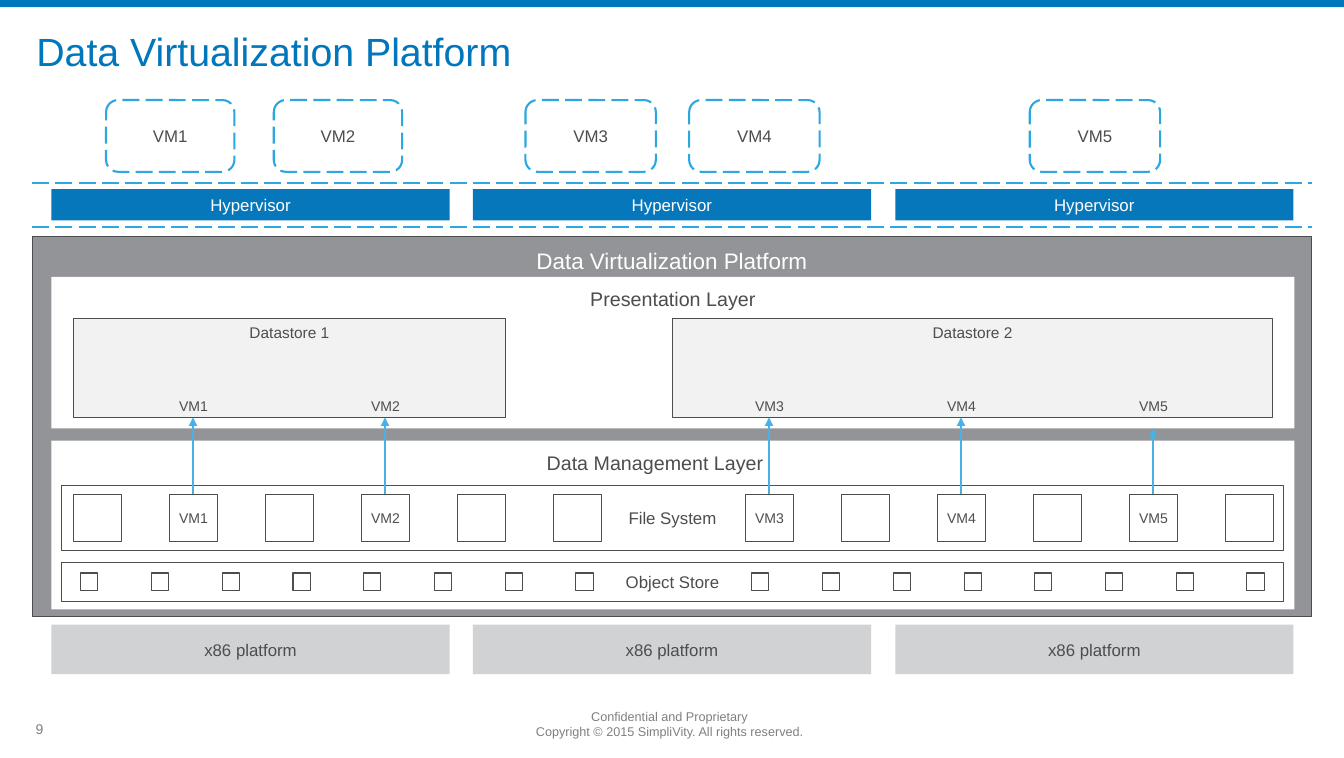
from lxml.etree import SubElement
from pptx import Presentation
from pptx.dml.color import RGBColor
from pptx.enum.dml import MSO_LINE
from pptx.enum.shapes import MSO_CONNECTOR, MSO_SHAPE
from pptx.enum.text import MSO_ANCHOR, MSO_AUTO_SIZE, PP_ALIGN
from pptx.oxml.ns import qn
from pptx.util import Pt

PX = 9144  # EMU per px, 100 px to the inch

WHITE = RGBColor(0xFF, 0xFF, 0xFF)
INK = RGBColor(0x4D, 0x4D, 0x4D)
FOOTER_GREY = RGBColor(0x80, 0x80, 0x80)
PLATFORM_GREY = RGBColor(0x92, 0x94, 0x97)
HARDWARE_GREY = RGBColor(0xD1, 0xD2, 0xD3)
STORE_GREY = RGBColor(0xF2, 0xF2, 0xF2)
BRAND_BLUE = RGBColor(0x00, 0x76, 0xBC)
HYPERVISOR_BLUE = RGBColor(0x07, 0x77, 0xBC)
DASH_BLUE = RGBColor(0x2D, 0xA7, 0xDF)
ARROW_BLUE = RGBColor(0x48, 0xB2, 0xE8)


def write(shape, text, size, color=INK, anchor=MSO_ANCHOR.MIDDLE,
          align=PP_ALIGN.CENTER, left=0, top=0, wrap=True):
    frame = shape.text_frame
    frame.text = text
    frame_format = {
        "auto_size": MSO_AUTO_SIZE.NONE, "word_wrap": wrap,
        "vertical_anchor": anchor, "margin_left": left * PX,
        "margin_top": top * PX, "margin_right": 0, "margin_bottom": 0,
    }
    for name, value in frame_format.items():
        setattr(frame, name, value)
    for paragraph in frame.paragraphs:
        paragraph.alignment = align
        for name, value in {"name": "Arial", "size": Pt(size)}.items():
            setattr(paragraph.font, name, value)
        paragraph.font.color.rgb = color


def add_box(left, top, width, height, fill, outline=None, weight=0.75,
            kind=MSO_SHAPE.RECTANGLE):
    box = slide.shapes.add_shape(
        kind, left * PX, top * PX, width * PX, height * PX)
    box.shadow.inherit = False
    box.fill.solid()
    box.fill.fore_color.rgb = fill
    if outline is None:
        box.line.fill.background()
    else:
        box.line.color.rgb = outline
        box.line.width = Pt(weight)
    return box


deck = Presentation()
deck.slide_width, deck.slide_height = 1330 * PX, 750 * PX
slide = deck.slides.add_slide(deck.slide_layouts[5])

# Title, top bar and footer
add_box(0, 0, 1330, 7, BRAND_BLUE)
title = slide.shapes.title
title_place = {"left": 36, "top": 20, "width": 1250, "height": 60}
for name, value in title_place.items():
    setattr(title, name, value * PX)
write(title, "Data Virtualization Platform", 28, BRAND_BLUE, align=PP_ALIGN.LEFT)

copyright_note = slide.shapes.add_textbox(518 * PX, 696 * PX, 289 * PX, 40 * PX)
write(copyright_note, "Confidential and Proprietary\n"
      "Copyright © 2015 SimpliVity. All rights reserved.", 9, FOOTER_GREY, wrap=False)
page_number = slide.shapes.add_textbox(17 * PX, 713 * PX, 44 * PX, 17 * PX)
write(page_number, "9", 10, FOOTER_GREY)

# Virtual machines above the hypervisors
for name, left, width in (("VM1", 105, 127), ("VM2", 271, 127), ("VM3", 520, 129),
                          ("VM4", 682, 129), ("VM5", 1019, 129)):
    machine = add_box(left, 99, width, 71, WHITE, DASH_BLUE, 1.5,
                      MSO_SHAPE.ROUNDED_RECTANGLE)
    machine.line.dash_style = MSO_LINE.LONG_DASH
    write(machine, name, 12)

# Hypervisor and hardware columns
for left in (51, 468, 886):
    write(add_box(left, 187, 394, 31, HYPERVISOR_BLUE), "Hypervisor", 12, WHITE)
    write(add_box(left, 618, 394, 49, HARDWARE_GREY), "x86 platform", 12)

# Platform and its layers
platform = add_box(32, 234, 1266, 376, PLATFORM_GREY, INK)
write(platform, "Data Virtualization Platform", 16, WHITE, MSO_ANCHOR.TOP, top=10)
presentation_layer = add_box(51, 274, 1230, 150, WHITE)
write(presentation_layer, "Presentation Layer", 14, anchor=MSO_ANCHOR.TOP, top=10)
management_layer = add_box(51, 436, 1230, 167, WHITE)
write(management_layer, "Data Management Layer", 14, anchor=MSO_ANCHOR.TOP,
      align=PP_ALIGN.LEFT, left=490, top=10)
for name, top, height in (("File System", 480, 65), ("Object Store", 557, 38)):
    write(add_box(61, top, 1209, height, WHITE, INK), name, 12)
for name, left, width in (("Datastore 1", 73, 427), ("Datastore 2", 666, 593)):
    datastore = add_box(left, 315, width, 98, STORE_GREY, INK)
    write(datastore, name, 11, anchor=MSO_ANCHOR.TOP, top=5)

# File system blocks on 13 slots, the middle one left for the label
BLOCK, SLOT_STEP = 47, 95
vm_slots = {1: "VM1", 3: "VM2", 7: "VM3", 9: "VM4", 11: "VM5"}
connections = []  # colour, weight, x1, y1, x2, y2
for slot in range(13):
    if slot == 6:
        continue
    left = 73 + slot * SLOT_STEP
    block = add_box(left, 489, BLOCK, BLOCK, WHITE, INK)
    if slot in vm_slots:
        name = vm_slots[slot]
        write(block, name, 10)
        datastore_label = slide.shapes.add_textbox(
            left * PX, 393 * PX, BLOCK * PX, 17 * PX)
        write(datastore_label, name, 10)
        center = left + BLOCK // 2
        arrow_top = 424 if name == "VM5" else 413
        connections.append((ARROW_BLUE, 2, center, 489, center, arrow_top))

# Object store cells, eight on each side of the label
for side in (80, 744):
    for cell in range(8):
        add_box(side + cell * 70, 567, 17, 17, WHITE, INK)

# Dashed hypervisor borders and arrows from blocks to datastores
for y in (181, 225):
    connections.append((DASH_BLUE, 1.5, 32, y, 1298, y))
for color, weight, *ends in connections:
    connector = slide.shapes.add_connector(
        MSO_CONNECTOR.STRAIGHT, *(end * PX for end in ends))
    connector.line.color.rgb = color
    connector.line.width = Pt(weight)
    properties = connector.element.spPr
    if color == DASH_BLUE:
        connector.line.dash_style = MSO_LINE.LONG_DASH
    else:
        SubElement(properties.find(qn("a:ln")), qn("a:tailEnd"), type="triangle")
    SubElement(properties, qn("a:effectLst"))

deck.save("out.pptx")
